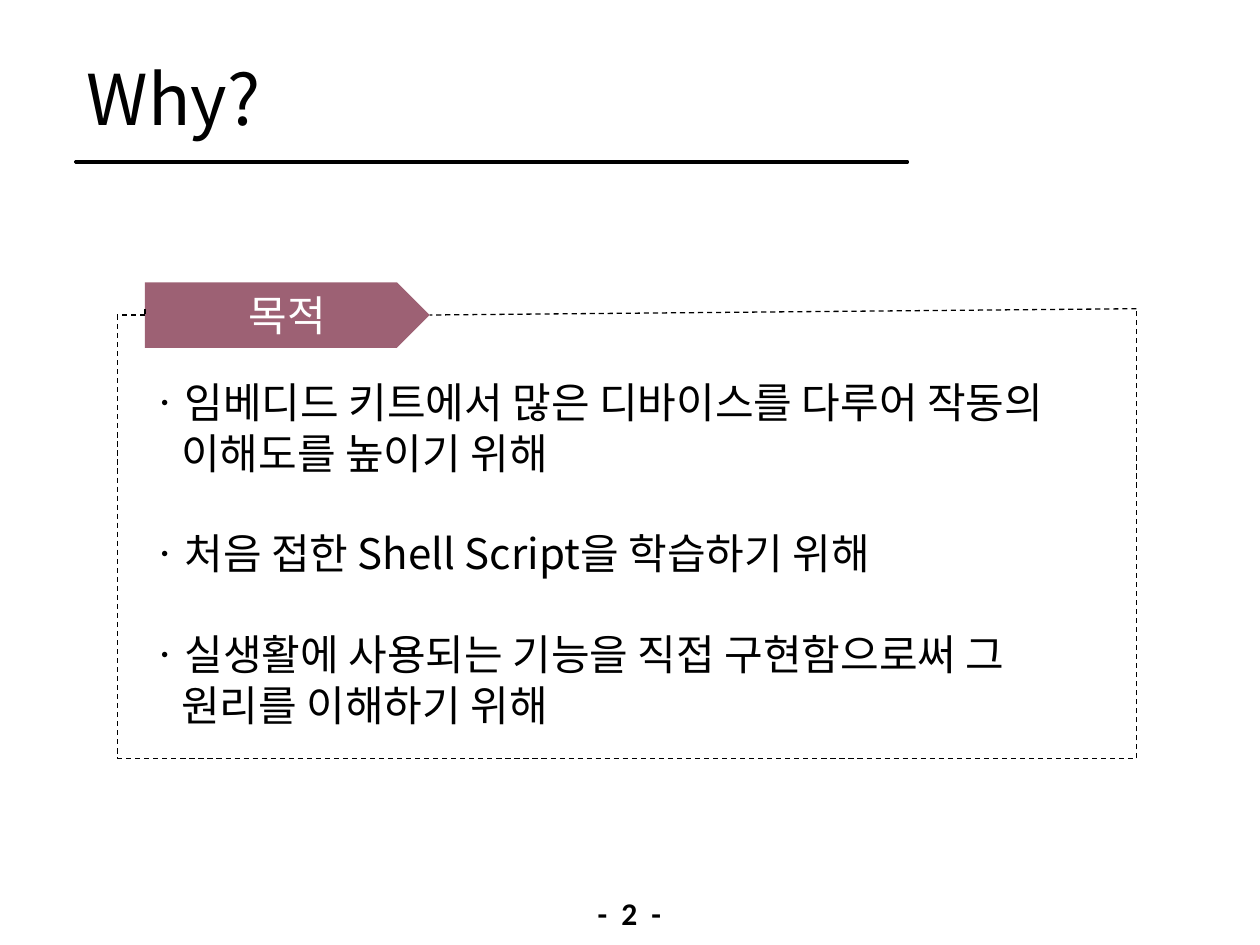
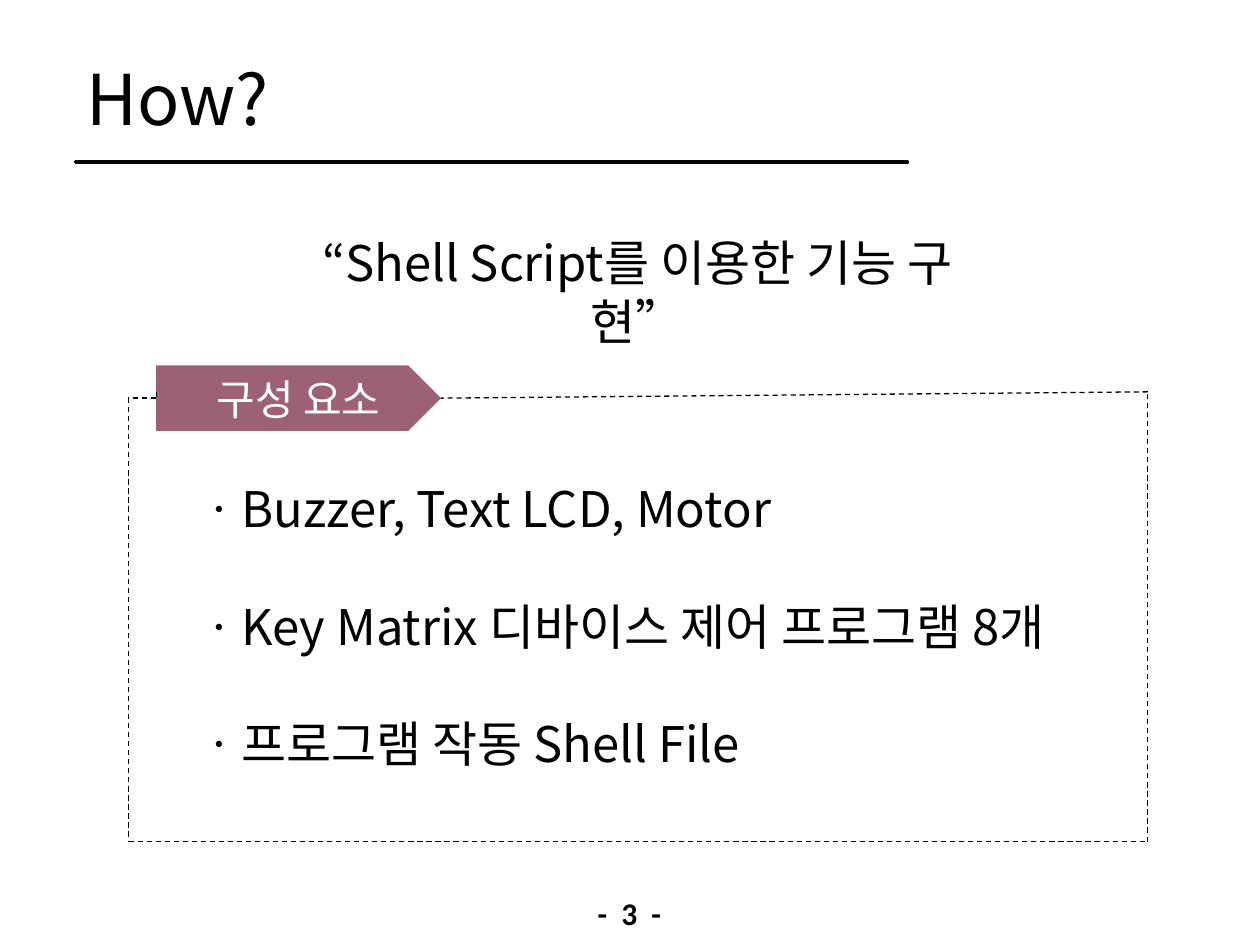
from itertools import pairwise

from lxml.etree import SubElement
from pptx import Presentation
from pptx.dml.color import RGBColor
from pptx.enum.dml import MSO_LINE
from pptx.enum.shapes import MSO_CONNECTOR, MSO_SHAPE
from pptx.enum.text import MSO_ANCHOR, PP_ALIGN
from pptx.oxml.ns import qn
from pptx.util import Inches, Pt

# Content: each item is a list of lines
SLIDES = [
    {
        "title": "Why?",
        "number": 2,
        "tag": "목적",
        "tag_at": (1.15, 2.24),
        "items_at": (1.06, 2.94, 7.79, 3.3),
        "items_size": 24,
        "items": [
            ["ㆍ임베디드 키트에서 많은 디바이스를 다루어 작동의", "이해도를 높이기 위해"],
            ["ㆍ처음 접한 Shell Script을 학습하기 위해"],
            ["ㆍ실생활에 사용되는 기능을 직접 구현함으로써 그", "원리를 이해하기 위해"],
        ],
    },
    {
        "title": "How?",
        "number": 3,
        "quote": "“Shell Script를 이용한 기능 구현”",
        "tag": "구성 요소",
        "tag_at": (1.24, 2.9),
        "items_at": (1.46, 3.75, 7.79, 3.1),
        "items_size": 28,
        "items": [
            ["ㆍBuzzer, Text LCD, Motor"],
            ["ㆍKey Matrix 디바이스 제어 프로그램 8개"],
            ["ㆍ프로그램 작동 Shell File"],
        ],
    },
]

# Shared style
COLORS = {"ink": "000000", "tag": "9D6174", "tag_text": "FFFFFF"}
BODY_FONT, FOOTER_FONT = "Noto Sans CJK KR", "Calibri"
LINE_PITCH = 1.2
HANGING = 0.28

# Outlines, measured from the top left corner of the tag
TAG_OUTLINE = [(0, 0), (2, 0), (2.26, 0.26), (2, 0.52), (0, 0.52)]
FRAME_OUTLINE = [(0, 0.21), (0, 0.26), (-0.22, 0.26), (-0.22, 3.78),
                 (7.87, 3.78), (7.87, 0.21), (2.26, 0.26)]


def color(name):
    return RGBColor.from_string(COLORS[name])


def add_run(paragraph, text, size, font=BODY_FONT, ink="ink", bold=False):
    run = paragraph.add_run()
    run.text = text
    run.font.size = Pt(size)
    run.font.name = font
    run.font.bold = bold
    run.font.color.rgb = color(ink)
    SubElement(run.font._element, qn("a:ea"), typeface=font)
    return run


def add_text(slide, box, items, size, align=PP_ALIGN.LEFT):
    frame = slide.shapes.add_textbox(*map(Inches, box)).text_frame
    frame.word_wrap = True
    for index, lines in enumerate(items):
        paragraph = frame.add_paragraph() if index else frame.paragraphs[0]
        paragraph.alignment = align
        paragraph.line_spacing = Pt(size * LINE_PITCH)
        if index:
            paragraph.space_before = Pt(size * LINE_PITCH)
        if len(lines) > 1:
            properties = paragraph._p.get_or_add_pPr()
            properties.set("marL", str(Inches(HANGING)))
            properties.set("indent", str(-Inches(HANGING)))
        for number, line in enumerate(lines):
            if number:
                paragraph.add_line_break()
            add_run(paragraph, line, size)


def add_header_and_footer(slide, title, number):
    rule = slide.shapes.add_shape(MSO_SHAPE.RECTANGLE, Inches(0.6), Inches(1.28),
                                  Inches(6.6), Inches(0.01))
    rule.shadow.inherit = False
    rule.fill.solid()
    rule.fill.fore_color.rgb = color("ink")
    rule.line.color.rgb = color("ink")
    rule.line.width = Pt(2)
    SubElement(rule.line._get_or_add_ln(), qn("a:round"))

    add_text(slide, (0.59, 0.39, 6.38, 0.77), [[title]], 40)

    footer = slide.shapes.add_textbox(*map(Inches, (4.05, 7.05, 1.89, 0.4)))
    footer.text_frame.word_wrap = True
    paragraph = footer.text_frame.paragraphs[0]
    paragraph.alignment = PP_ALIGN.CENTER
    run = add_run(paragraph, f"- {number} -", 18, FOOTER_FONT, bold=True)
    run.font._element.set("spc", "200")


def add_tagged_frame(slide, label, origin):
    def place(outline):
        return [(Inches(origin[0] + x), Inches(origin[1] + y)) for x, y in outline]

    # Arrow-shaped tag
    start, *corners = place(TAG_OUTLINE)
    builder = slide.shapes.build_freeform(*start)
    builder.add_line_segments(corners, close=True)
    tag = builder.convert_to_shape()
    tag.shadow.inherit = False
    tag.fill.solid()
    tag.fill.fore_color.rgb = color("tag")
    tag.line.fill.background()
    tag.text_frame.vertical_anchor = MSO_ANCHOR.MIDDLE
    paragraph = tag.text_frame.paragraphs[0]
    paragraph.alignment = PP_ALIGN.CENTER
    paragraph.line_spacing = Pt(24 * LINE_PITCH)
    add_run(paragraph, label, 24, ink="tag_text")

    # Dashed frame running around from the tag
    for begin, end in pairwise(place(FRAME_OUTLINE)):
        edge = slide.shapes.add_connector(MSO_CONNECTOR.STRAIGHT, *begin, *end)
        edge.line.color.rgb = color("ink")
        edge.line.width = Pt(0.75)
        edge.line.dash_style = MSO_LINE.DASH
        SubElement(edge._element.spPr, qn("a:effectLst"))


def main():
    presentation = Presentation()
    presentation.slide_width = Inches(10)
    presentation.slide_height = Inches(7.5)
    for content in SLIDES:
        slide = presentation.slides.add_slide(presentation.slide_layouts[6])
        add_header_and_footer(slide, content["title"], content["number"])
        add_tagged_frame(slide, content["tag"], content["tag_at"])
        if "quote" in content:
            add_text(slide, (2.24, 1.8, 5.64, 1.04), [[content["quote"]]], 28,
                     PP_ALIGN.CENTER)
        add_text(slide, content["items_at"], content["items"], content["items_size"])
    presentation.save("out.pptx")


if __name__ == "__main__":
    main()
